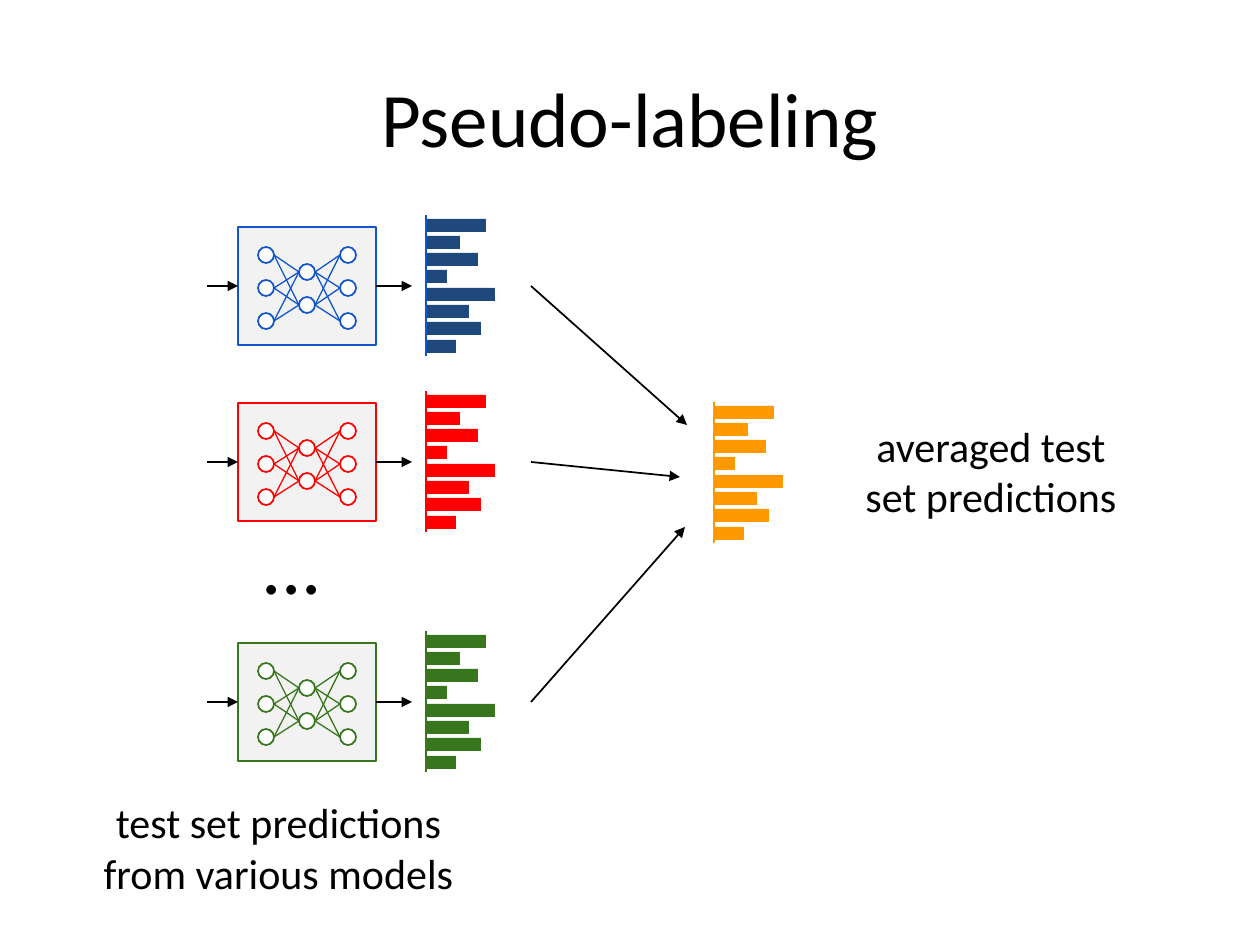
from dataclasses import dataclass
from itertools import product

from lxml import etree
from pptx import Presentation
from pptx.dml.color import RGBColor
from pptx.enum.shapes import MSO_CONNECTOR, MSO_SHAPE
from pptx.enum.text import MSO_ANCHOR, PP_ALIGN
from pptx.oxml.ns import qn
from pptx.util import Emu, Pt

STRAIGHT = MSO_CONNECTOR.STRAIGHT
RECTANGLE, OVAL = MSO_SHAPE.RECTANGLE, MSO_SHAPE.OVAL
CENTER, TOP, MIDDLE = PP_ALIGN.CENTER, MSO_ANCHOR.TOP, MSO_ANCHOR.MIDDLE
EMU_PER_PX = 914400 / 126
LEFT_SIDE, RIGHT_SIDE = 1, 3
BAR_LENGTHS = (60, 34, 52, 21, 69, 43, 55, 30)


@dataclass(frozen=True)
class Theme:
    """Colours, font and type sizes of the slide."""
    font: str = "Calibri"
    ink: str = "000000"
    panel: str = "F2F2F2"
    node: str = "FFFFFF"
    blue: str = "1155CC"
    navy: str = "1F497D"
    red: str = "FF0000"
    green: str = "38761D"
    orange: str = "FF9900"
    title: int = 44
    dots: int = 46
    label: int = 24
    outline: float = 1
    edge: float = 0.75


THEME = Theme()


def px(length):
    """Turn pixels into EMU."""
    return Emu(round(length * EMU_PER_PX))


def write(box, text, *, size, inset=(13, 13), anchor=TOP):
    """Put centred text into a box with the given format."""
    frame = box.text_frame
    frame.word_wrap = True
    frame.vertical_anchor = anchor
    frame.margin_left = frame.margin_right = px(inset[0])
    frame.margin_top = frame.margin_bottom = px(inset[1])
    para = frame.paragraphs[0]
    para.alignment = CENTER
    span = para.add_run()
    span.text = text
    span.font.name = THEME.font
    span.font.size = Pt(size)
    span.font.color.rgb = RGBColor.from_string(THEME.ink)


def add_label(page, text, bounds, size):
    """Add a text box within the given bounds."""
    write(page.shapes.add_textbox(*map(px, bounds)), text, size=size)


def add_block(shapes, kind, bounds, fill, outline=None):
    """Add a filled shape, outlined when a line colour is given."""
    block = shapes.add_shape(kind, *map(px, bounds))
    block.shadow.inherit = False
    block.fill.solid()
    block.fill.fore_color.rgb = RGBColor.from_string(fill)
    if outline:
        block.line.color.rgb = RGBColor.from_string(outline)
        block.line.width = Pt(THEME.outline)
    else:
        block.line.fill.background()
    return block


def add_line(shapes, start, end, color, width=THEME.outline, arrow=False):
    """Add a straight connector, with an arrowhead at its end on request."""
    line = shapes.add_connector(STRAIGHT, *map(px, (*start, *end)))
    line.line.color.rgb = RGBColor.from_string(color)
    line.line.width = Pt(width)
    properties = line._element.spPr
    if arrow:
        etree.SubElement(properties.find(qn("a:ln")), qn("a:tailEnd"), type="triangle")
    etree.SubElement(properties, qn("a:effectLst"))
    return line


def add_network(page, left, top, color):
    """Draw a small neural network in a panel and return the panel."""
    shapes = page.shapes.add_group_shape().shapes
    panel = add_block(shapes, RECTANGLE, (left, top, 138, 118), THEME.panel, color)
    size, step = 16, 33
    layers = [
        [(left + x, top + y + step * row) for row in range(count)]
        for x, y, count in ((20, 20, 3), (61, 37, 2), (102, 20, 3))
    ]
    for x, y in sum(layers, []):
        add_block(shapes, OVAL, (x, y, size, size), THEME.node, color)
    for before, after in zip(layers, layers[1:]):
        for (x1, y1), (x2, y2) in product(before, after):
            add_line(shapes, (x1 + size, y1 + size // 2), (x2, y2 + size // 2),
                     color, THEME.edge)
    return panel


def add_predictions(page, left, top, bar_color, axis_color):
    """Draw a sketch of class scores as bars along an upright axis."""
    shapes = page.shapes.add_group_shape().shapes
    last = len(BAR_LENGTHS) - 1
    for index, length in enumerate(BAR_LENGTHS):
        add_block(shapes, RECTANGLE, (left, top + 4 + index * 121 // last, length, 13),
                  bar_color)
    add_line(shapes, (left, top), (left, top + 141), axis_color)


def add_model(page, left, top, bar_color, color):
    """Draw one model with its input arrow, output arrow and predictions."""
    middle = top + 59
    panel = add_network(page, left + 31, top, color)
    source = add_line(page.shapes, (left, middle), (left + 31, middle),
                      THEME.ink, arrow=True)
    source.end_connect(panel, LEFT_SIDE)
    add_predictions(page, left + 219, top - 12, bar_color, color)
    result = add_line(page.shapes, (left + 169, middle), (left + 205, middle),
                      THEME.ink, arrow=True)
    result.begin_connect(panel, RIGHT_SIDE)


def add_title(page, text, bounds):
    """Place and fill the title placeholder."""
    title = page.shapes.title
    title.left, title.top, title.width, title.height = map(px, bounds)
    write(title, text, size=THEME.title, inset=(13, 6), anchor=MIDDLE)


def main():
    """Build the pseudo-labeling slide."""
    deck = Presentation()
    deck.slide_width, deck.slide_height = px(1260), px(945)
    page = deck.slides.add_slide(deck.slide_layouts[5])
    add_title(page, "Pseudo-labeling", (63, 38, 1134, 157))
    models = (
        (227, THEME.navy, THEME.blue, (687, 425)),
        (403, THEME.red, THEME.red, (680, 477)),
        (643, THEME.green, THEME.green, (685, 527)),
    )
    for top, bar_color, color, target in models:
        add_model(page, 207, top, bar_color, color)
        add_line(page.shapes, (531, top + 59), target, THEME.ink, arrow=True)
    add_label(page, "...", (193, 501, 197, 98), THEME.dots)
    add_label(page, "test set predictions from various models",
              (82, 784, 393, 62), THEME.label)
    add_predictions(page, 714, 402, THEME.orange, THEME.orange)
    add_label(page, "averaged test set predictions", (835, 407, 312, 118), THEME.label)
    deck.save("out.pptx")


if __name__ == "__main__":
    main()
